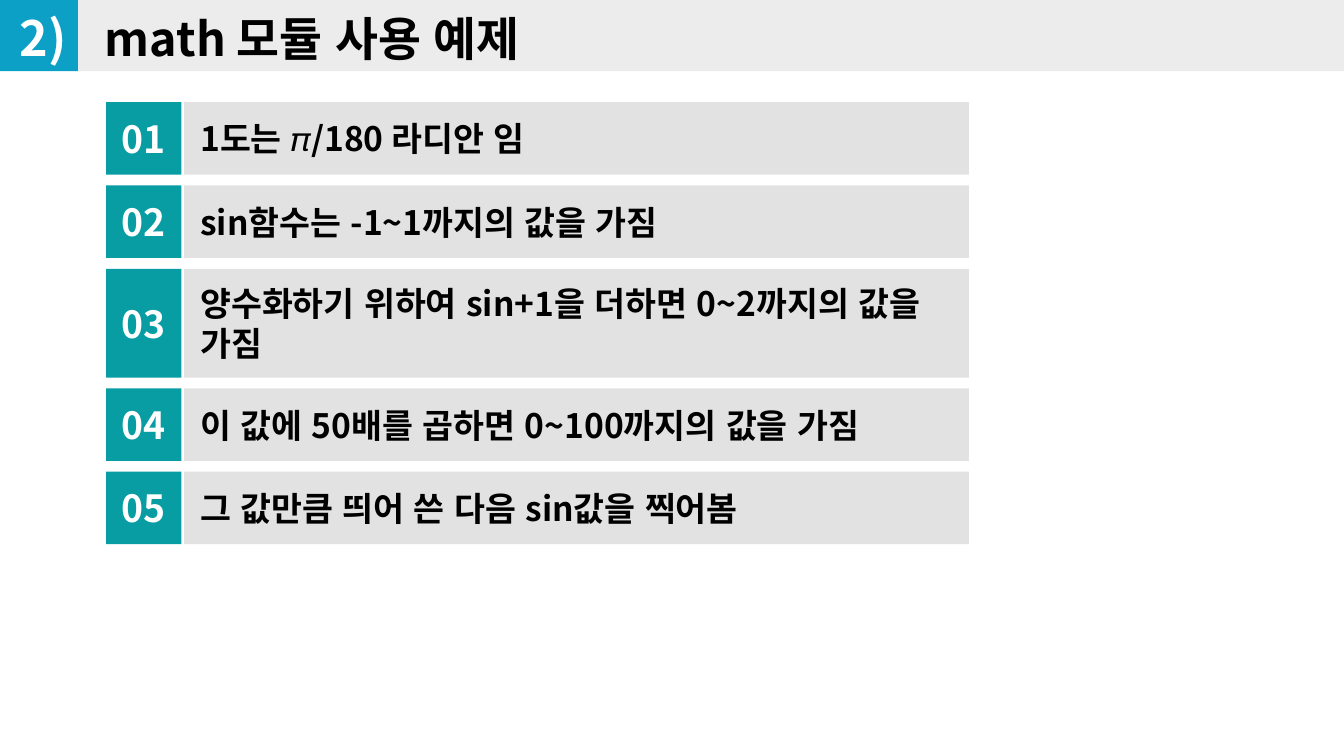
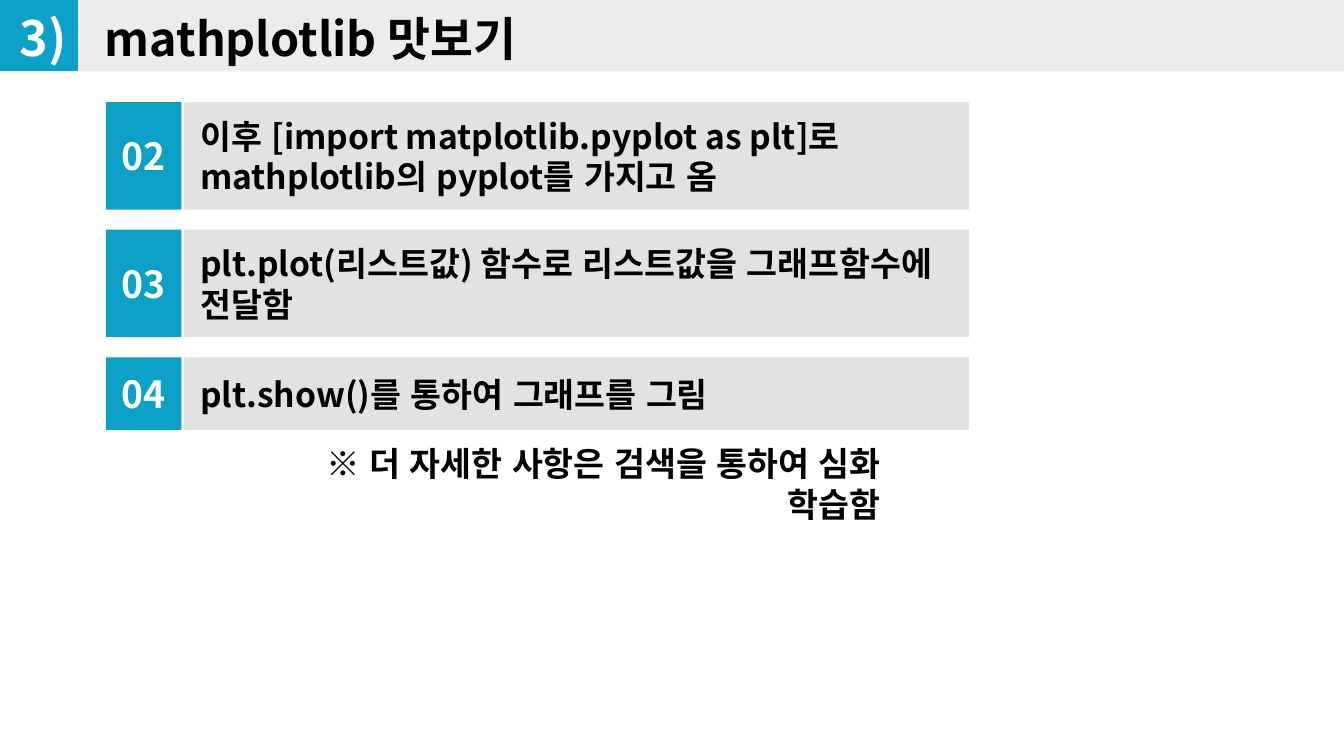
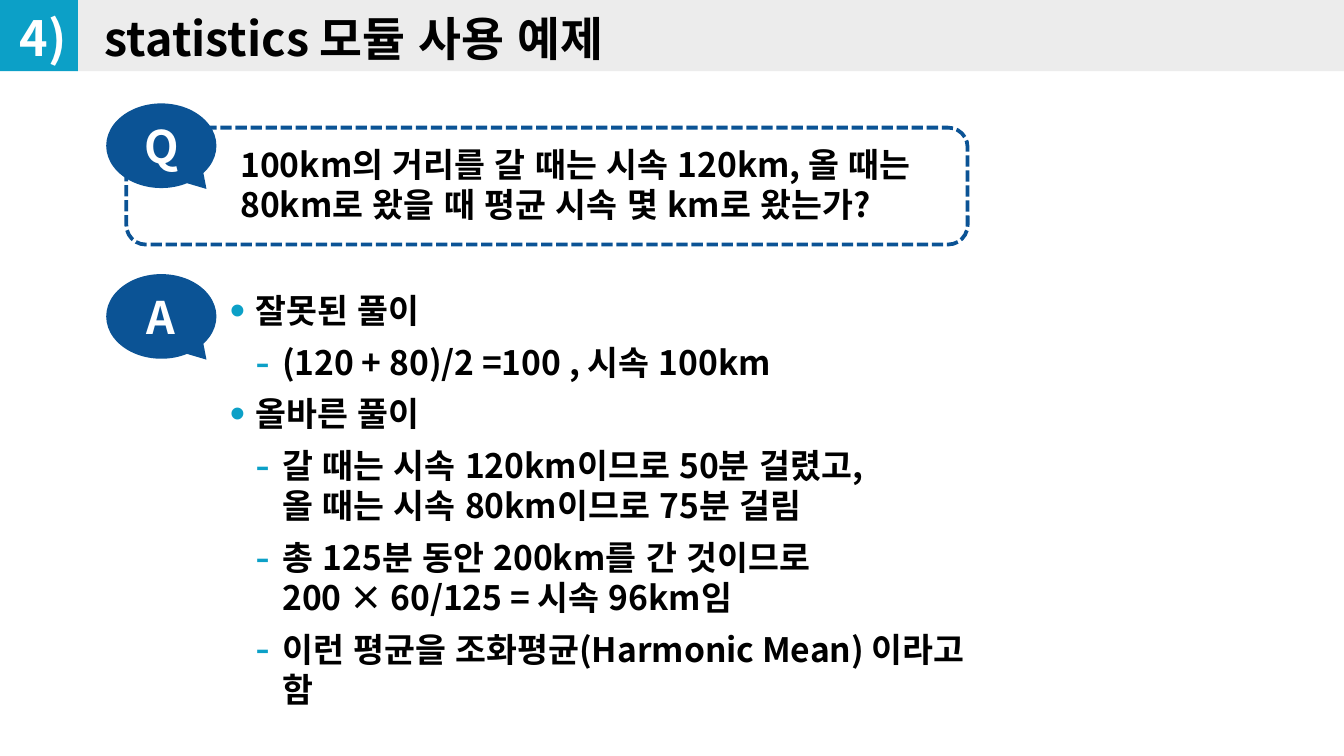
from lxml import etree
from pptx import Presentation
from pptx.dml.color import RGBColor
from pptx.enum import dml, lang, shapes, text
from pptx.oxml import ns
from pptx.util import Inches, Pt

FONT = "Noto Sans CJK KR"
BLACK = RGBColor(0x00, 0x00, 0x00)
WHITE = RGBColor(0xFF, 0xFF, 0xFF)
BAND = RGBColor(0xEC, 0xEC, 0xEC)
PANEL = RGBColor(0xE2, 0xE2, 0xE2)
BLUE = RGBColor(0x0C, 0xA0, 0xC7)
TEAL = RGBColor(0x08, 0x9C, 0xA3)
NAVY = RGBColor(0x0B, 0x53, 0x95)

TITLE_ONLY, TITLE_AND_BODY = 5, 1
LEFT, ROWS_TOP = 0.79, 0.76
ONE_LINE, TWO_LINES = 0.54, 0.81
TITLE_MARGINS = (0.14, 0.07, 0.14, 0.07)
BULLETS = [("•", 0.19, 0.19), ("-", 0.39, 0.2)]

MATH = {
    "number": "2)",
    "title": "math 모듈 사용 예제",
    "color": TEAL,
    "gap": 0.08,
    "right_margin": 0.12,
    "rows": [
        ("01", "1도는 𝜋/180 라디안 임", ONE_LINE),
        ("02", "sin함수는 -1~1까지의 값을 가짐", ONE_LINE),
        ("03", "양수화하기 위하여 sin+1을 더하면 0~2까지의 값을 가짐", TWO_LINES),
        ("04", "이 값에 50배를 곱하면 0~100까지의 값을 가짐", ONE_LINE),
        ("05", "그 값만큼 띄어 쓴 다음 sin값을 찍어봄", ONE_LINE),
    ],
}
PLOT = {
    "number": "3)",
    "title": "mathplotlib 맛보기",
    "color": BLUE,
    "gap": 0.15,
    "right_margin": 0.2,
    "rows": [
        ("02", "이후 [import matplotlib.pyplot as plt]로 mathplotlib의 pyplot를 가지고 옴", 0.8),
        ("03", "plt.plot(리스트값) 함수로 리스트값을 그래프함수에 전달함", 0.8),
        ("04", "plt.show()를 통하여 그래프를 그림", ONE_LINE),
    ],
    "note": "※ 더 자세한 사항은 검색을 통하여 심화 학습함",
}
STATISTICS = {
    "number": "4)",
    "title": "statistics 모듈 사용 예제",
    "callouts": [("Q", 0.77), ("A", 2.04)],
    "question": "100km의 거리를 갈 때는 시속 120km, 올 때는 80km로 왔을 때 평균 시속 몇 km로 왔는가?",
    "answers": [
        (0, "잘못된 풀이"),
        (1, "(120 + 80)/2 =100 , 시속 100km"),
        (0, "올바른 풀이"),
        (1, "갈 때는 시속 120km이므로 50분 걸렸고, \v올 때는 시속 80km이므로 75분 걸림"),
        (1, "총 125분 동안 200km를 간 것이므로 \v200 × 60/125 = 시속 96km임"),
        (1, "이런 평균을 조화평균(Harmonic Mean) 이라고 함"),
    ],
}


def place(shape, box):
    shape.left, shape.top, shape.width, shape.height = map(Inches, box)


def write_paragraph(paragraph, words, size=18, color=BLACK, align=text.PP_ALIGN.LEFT, before=0):
    paragraph.text = words
    paragraph.alignment = align
    paragraph.space_before = Pt(before)
    for run in paragraph.runs:
        font = run.font
        font.size, font.bold, font.name = Pt(size), True, FONT
        font.color.rgb = color
        font.language_id = lang.MSO_LANGUAGE_ID.KOREAN
        properties = run._r.get_or_add_rPr()
        properties.set("kern", "0")
        east_asian = etree.Element(ns.qn("a:ea"), typeface=FONT)
        properties.find(ns.qn("a:latin")).addnext(east_asian)


def format_frame(shape, anchor=text.MSO_ANCHOR.TOP, margins=(0.1, 0.05, 0.1, 0.05), wrap=True):
    frame = shape.text_frame
    frame.auto_size = text.MSO_AUTO_SIZE.NONE
    frame.word_wrap = wrap
    frame.vertical_anchor = anchor
    frame.margin_left, frame.margin_top, frame.margin_right, frame.margin_bottom = map(Inches, margins)
    return frame


def write(shape, words, size=18, color=BLACK, align=text.PP_ALIGN.LEFT, **frame_format):
    frame = format_frame(shape, **frame_format)
    write_paragraph(frame.paragraphs[0], words, size, color, align)


def add_box(slide, box, fill=None, kind=shapes.MSO_SHAPE.RECTANGLE):
    shape = slide.shapes.add_shape(kind, *map(Inches, box))
    shape.shadow.inherit = False
    shape.line.fill.background()
    if fill is None:
        shape.fill.background()
    else:
        shape.fill.solid()
        shape.fill.fore_color.rgb = fill
    return shape


def add_text(slide, box, words, **style):
    write(slide.shapes.add_textbox(*map(Inches, box)), words, **style)


def add_master_bands(presentation, slide):
    bands = [((0.57, -0.01, 9.43, 0.54), BAND), ((-0.01, -0.01, 0.59, 0.54), BLUE)]
    for index, (box, fill) in enumerate(bands):
        element = add_box(slide, box, fill).element
        element.nvSpPr.cNvPr.set("id", str(101 + index))
        presentation.slide_master.shapes.element.insert(2 + index, element)


def add_slide(presentation, content, layout=TITLE_ONLY):
    slide = presentation.slides.add_slide(presentation.slide_layouts[layout])
    title = slide.shapes.title
    place(title, (0.64, 0, 8.92, 0.56))
    write(title, content["title"], size=25, margins=TITLE_MARGINS)
    add_text(slide, (-0.01, -0.01, 0.66, 0.58), content["number"], size=26, color=WHITE,
             align=text.PP_ALIGN.CENTER, margins=TITLE_MARGINS)
    return slide


def add_rows(slide, content):
    top = ROWS_TOP
    for number, words, height in content["rows"]:
        badge = add_box(slide, (LEFT, top, 0.56, height), content["color"])
        write(badge, number, size=20, color=WHITE, align=text.PP_ALIGN.CENTER,
              anchor=text.MSO_ANCHOR.MIDDLE, wrap=False)
        panel = add_box(slide, (1.37, top, 5.84, height), PANEL)
        write(panel, words, anchor=text.MSO_ANCHOR.MIDDLE,
              margins=(0.12, 0.05, content["right_margin"], 0.05))
        top += height + content["gap"]


def set_bullet(paragraph, level):
    mark, margin, hanging = BULLETS[level]
    properties = paragraph._p.get_or_add_pPr()
    properties.set("marL", str(Inches(margin)))
    properties.set("indent", str(-Inches(hanging)))
    color = etree.SubElement(properties, ns.qn("a:buClr"))
    etree.SubElement(color, ns.qn("a:srgbClr"), val=str(BLUE))
    etree.SubElement(properties, ns.qn("a:buSzPct"), val="130000")
    etree.SubElement(properties, ns.qn("a:buChar"), char=mark)


def add_question(slide, content):
    frame = add_box(slide, (0.94, 0.95, 6.26, 0.87), kind=shapes.MSO_SHAPE.ROUNDED_RECTANGLE)
    frame.line.color.rgb = NAVY
    frame.line.width = Pt(2)
    frame.line.dash_style = dml.MSO_LINE.SQUARE_DOT
    for letter, top in content["callouts"]:
        callout = add_box(slide, (LEFT, top, 0.82, 0.63), NAVY, shapes.MSO_SHAPE.OVAL_CALLOUT)
        callout.adjustments[0], callout.adjustments[1] = 0.41, 0.51
        write(callout, letter, size=24, color=WHITE, align=text.PP_ALIGN.CENTER,
              anchor=text.MSO_ANCHOR.MIDDLE)
    add_text(slide, (1.69, 1.02, 5.44, 0.71), content["question"])


def add_answers(slide, content):
    body = slide.placeholders[1]
    place(body, (1.61, 2.11, 5.78, 2.95))
    frame = format_frame(body, margins=(0.1, 0.05, 0.2, 0.05))
    for index, (level, words) in enumerate(content["answers"]):
        paragraph = frame.add_paragraph() if index else frame.paragraphs[0]
        write_paragraph(paragraph, words, before=6 if index else 0)
        set_bullet(paragraph, level)


def main():
    presentation = Presentation()
    presentation.slide_width = Inches(10)
    presentation.slide_height = presentation.slide_width * 9 // 16

    math_slide = add_slide(presentation, MATH)
    add_master_bands(presentation, math_slide)
    add_rows(math_slide, MATH)

    plot_slide = add_slide(presentation, PLOT)
    add_rows(plot_slide, PLOT)
    add_text(plot_slide, (2.34, 3.25, 4.87, 0.4), PLOT["note"], align=text.PP_ALIGN.RIGHT,
             margins=(0.05, 0.05, 0.66, 0.05))

    statistics_slide = add_slide(presentation, STATISTICS, TITLE_AND_BODY)
    add_question(statistics_slide, STATISTICS)
    add_answers(statistics_slide, STATISTICS)

    presentation.save("out.pptx")


if __name__ == "__main__":
    main()
